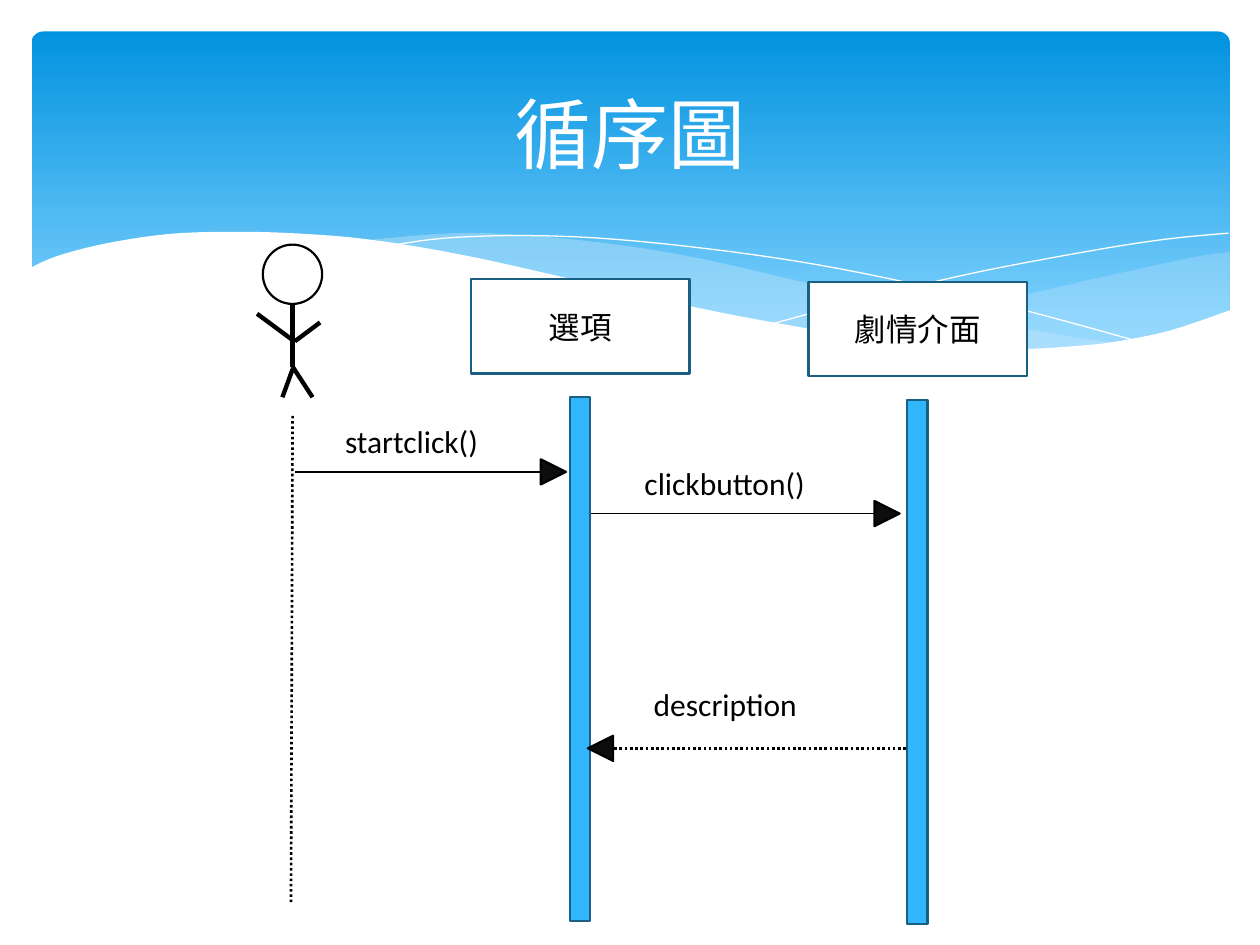
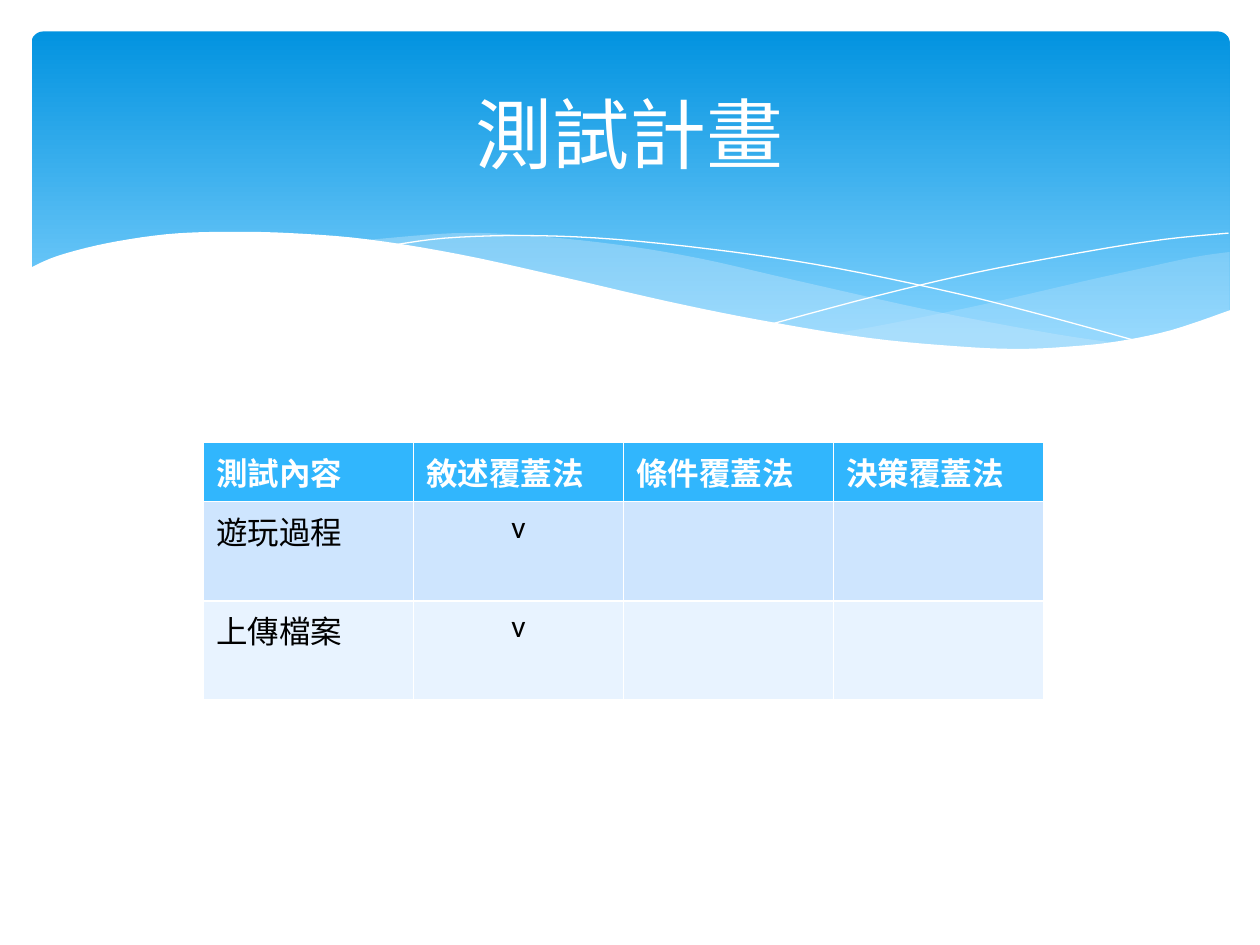
"""Build two slides, a sequence diagram and a test plan table, under a shared wave banner."""
from lxml import etree
from pptx import Presentation
from pptx.dml.color import RGBColor
from pptx.enum.dml import MSO_LINE
from pptx.enum.shapes import MSO_CONNECTOR, MSO_SHAPE
from pptx.enum.text import MSO_ANCHOR, MSO_AUTO_SIZE, PP_ALIGN
from pptx.oxml.ns import qn
from pptx.util import Pt

CENTER, LEFT = PP_ALIGN.CENTER, PP_ALIGN.LEFT
MIDDLE, TOP = MSO_ANCHOR.MIDDLE, MSO_ANCHOR.TOP
FIT_SHAPE = MSO_AUTO_SIZE.SHAPE_TO_FIT_TEXT
STRAIGHT, DOTTED = MSO_CONNECTOR.STRAIGHT, MSO_LINE.ROUND_DOT
RECTANGLE, ROUNDED = MSO_SHAPE.RECTANGLE, MSO_SHAPE.ROUNDED_RECTANGLE
OVAL, TRIANGLE = MSO_SHAPE.OVAL, MSO_SHAPE.ISOSCELES_TRIANGLE

WHITE = RGBColor(0xFF, 0xFF, 0xFF)
BLACK = RGBColor(0x00, 0x00, 0x00)
NEAR_BLACK = RGBColor(0x0D, 0x0D, 0x0D)
BANNER_TOP = RGBColor(0x02, 0x93, 0xE0)
BANNER_BOTTOM = RGBColor(0x83, 0xD3, 0xFE)
WAVE = RGBColor(0xC6, 0xE7, 0xFC)
BLUE = RGBColor(0x31, 0xB6, 0xFD)
DARK_BLUE = RGBColor(0x19, 0x5F, 0x84)
ROW_FILLS = [BLUE, RGBColor(0xCE, 0xE5, 0xFE), RGBColor(0xE8, 0xF3, 0xFF)]
FONT = "Calibri"

RIGHT_WAVE = [
    [(702.7, 144), (682.6, 146.9), (652.3, 153.4), (619.9, 160.6), (560.9, 174.2),
     (508.3, 185), (475.9, 190.8)],
    [(475.9, 190.8), (517.7, 195.8), (562.3, 199.4), (601.2, 199.4), (634.3, 196.6),
     (668.2, 189.4), (702.7, 177.8)],
]
LEFT_WAVE = [
    [(643, 196.6), (602.6, 190.8), (533.5, 177.8), (452.9, 159.8), (399.6, 147.6),
     (352.1, 139.7), (302.4, 134.6), (259.9, 133.2), (205.9, 137.5)],
    [(205.9, 137.5), (260.6, 146.2), (323.3, 159.8), (381.6, 172.8), (432.7, 183.6),
     (478.8, 191.5), (529.9, 198), (581, 200.2), (624.2, 198.7), (643, 196.6)],
]
FALLING_LINE = [
    [(222.5, 140.4), (254.2, 136.1), (299.5, 134.6), (352.1, 136.8), (419, 144),
     (478.8, 153.4), (547.2, 167.8), (598.3, 180.7), (653, 195.8)],
]
RISING_LINE = [
    [(441.4, 185), (500.4, 169.2), (558.7, 155.5), (623.5, 143.3), (665.3, 136.8),
     (702, 133.2)],
]
WHITE_WAVE = [
    [(703.4, 177.1), (669.6, 188.6), (638.6, 195.1), (612, 198), (582.5, 199.4),
     (547.9, 198), (495.4, 193), (434.2, 182.9), (380.9, 172.1), (321.8, 158.4),
     (262.8, 145.4), (210.2, 136.8), (165.6, 133.2), (127.4, 132.5), (95, 133.9),
     (61.2, 139), (33.1, 146.2), (16.6, 153.4)],
    [(16.6, 236.9), (703.4, 236.9)],
]
CURVE_STEPS = 5


def write(holder, text, size=18, color=BLACK, bold=False, align=LEFT, anchor=TOP):
    frame = holder.text_frame
    frame.vertical_anchor = anchor
    paragraph = frame.paragraphs[0]
    paragraph.alignment = align
    run = paragraph.add_run()
    run.text = text
    run.font.name, run.font.size, run.font.bold = FONT, Pt(size), bold
    run.font.color.rgb = color


def add_box(slide, kind, box, fill, line, rotation=0):
    shape = slide.shapes.add_shape(kind, *map(Pt, box))
    shape.shadow.inherit = False
    shape.fill.solid()
    shape.fill.fore_color.rgb = fill
    shape.line.color.rgb = line
    shape.line.width = Pt(1.25)
    shape.rotation = rotation
    return shape


presentation = Presentation()
presentation.slide_width, presentation.slide_height = Pt(720), Pt(540)
layout = presentation.slide_layouts.get_by_name("Title Only")
title = layout.placeholders[0]
title.left, title.top, title.width, title.height = map(Pt, (36, 26.6, 648, 98.6))

slides = []
for heading in ["循序圖", "測試計畫"]:
    slide = presentation.slides.add_slide(layout)
    write(slide.shapes.title, heading, size=44, color=WHITE, align=CENTER, anchor=MIDDLE)
    slides.append(slide)
diagram, plan = slides

banner = add_box(diagram, ROUNDED, (18, 18, 684.7, 194.4), BANNER_TOP, BANNER_TOP)
banner.adjustments[0] = 0.034
banner.line.fill.background()
banner.fill.gradient()
banner.fill.gradient_angle = 270
stops = banner.fill.gradient_stops
for stop, color, position in zip(stops, [BANNER_TOP, BANNER_BOTTOM], [0, 0.9]):
    stop.color.rgb, stop.position = color, position
banner_parts = [banner]

for curves, fill, opacity in [
    (RIGHT_WAVE, WAVE, 29),
    (LEFT_WAVE, WAVE, 40),
    (FALLING_LINE, None, 100),
    (RISING_LINE, None, 100),
    (WHITE_WAVE, WHITE, 100),
]:
    outline = []
    for curve in curves:
        padded = [curve[0], *curve, curve[-1]]
        outline.append(curve[0])
        for before, start, end, after in zip(padded, padded[1:], padded[2:], padded[3:]):
            for step in range(1, CURVE_STEPS + 1):
                t = step / CURVE_STEPS
                outline.append([
                    b + (c - a) * t / 2 + (2 * a - 5 * b + 4 * c - d) * t**2 / 2
                    + (3 * b - a - 3 * c + d) * t**3 / 2
                    for a, b, c, d in zip(before, start, end, after)
                ])
    points = [(Pt(x), Pt(y)) for x, y in outline]
    builder = diagram.shapes.build_freeform(*points[0])
    builder.add_line_segments(points[1:], close=fill is not None)
    wave = builder.convert_to_shape()
    wave.shadow.inherit = False
    if fill is None:
        wave.fill.background()
        wave.line.color.rgb = WHITE
        wave.line.width = Pt(0)
    else:
        wave.fill.solid()
        wave.fill.fore_color.rgb = fill
        wave.line.fill.background()
        if opacity < 100:
            color_element = wave.element.spPr.find(".//" + qn("a:srgbClr"))
            etree.SubElement(color_element, qn("a:alpha"), val=str(opacity * 1000))
    banner_parts.append(wave)

for index, part in enumerate(banner_parts):
    part.element.find(".//" + qn("p:cNvPr")).set("id", str(100 + index))
    layout.shapes.element.insert(2 + index, part.element)

add_box(diagram, OVAL, (150.2, 139.8, 33.9, 33.9), WHITE, BLACK)
for start, end, width, dash in [
    ((167.2, 174), (167.2, 209.5), 2.5, None),
    ((146.9, 179.3), (166.5, 193.8), 2.5, None),
    ((182.9, 184.3), (168.5, 195), 2.5, None),
    ((167.2, 211), (161.4, 227), 2.5, None),
    ((167.2, 209.5), (178.6, 227), 2.5, None),
    ((167.2, 237.6), (166.3, 515.5), 1.5, DOTTED),
    ((168.5, 269.8), (309, 269.8), 0.75, None),
    ((337.5, 293.3), (499.7, 293.3), 0.75, None),
    ((517.7, 427.6), (347, 427.6), 1.5, DOTTED),
]:
    connector = diagram.shapes.add_connector(STRAIGHT, *map(Pt, start + end))
    connector.line.color.rgb = BLACK
    connector.line.width = Pt(width)
    if dash is not None:
        connector.line.dash_style = dash
    etree.SubElement(connector.element.spPr, qn("a:effectLst"))

for name, left, top in [("選項", 269.2, 159.5), ("劇情介面", 462, 161.1)]:
    add_box(diagram, RECTANGLE, (left + 56.5, top + 67.3, 11.5, 299.7), BLUE, DARK_BLUE)
    participant = add_box(diagram, RECTANGLE, (left, top, 124.8, 54), WHITE, DARK_BLUE)
    write(participant, name, align=CENTER, anchor=MIDDLE)

for left, top, rotation in [(309, 262.5, 90), (499.7, 286.3, 90), (336, 420.4, 270)]:
    add_box(diagram, TRIANGLE, (left, top, 14.4, 14.4), NEAR_BLACK, BLACK, rotation)

for message, left, top, width in [
    ("startclick()", 190.1, 237.8, 96.5),
    ("clickbutton()", 361.2, 261.6, 113.8),
    ("description", 366.5, 387.7, 100.8),
]:
    label = diagram.shapes.add_textbox(Pt(left), Pt(top), Pt(width), Pt(29))
    label.text_frame.word_wrap = False
    label.text_frame.auto_size = FIT_SHAPE
    write(label, message)

rows = [
    ["測試內容", "敘述覆蓋法", "條件覆蓋法", "決策覆蓋法"],
    ["遊玩過程", "v", "", ""],
    ["上傳檔案", "v", "", ""],
]
table = plan.shapes.add_table(3, 4, Pt(116.3), Pt(252.9), Pt(480), Pt(147.2)).table
for row, height, fill, texts in zip(table.rows, [33.8, 56.7, 56.7], ROW_FILLS, rows):
    row.height = Pt(height)
    header = fill == BLUE
    for cell, text in zip(row.cells, texts):
        cell.fill.solid()
        cell.fill.fore_color.rgb = fill
        if text:
            write(cell, text, color=WHITE if header else BLACK, bold=header,
                  align=CENTER if text == "v" else LEFT, anchor=TOP if header else MIDDLE)

presentation.save("out.pptx")
